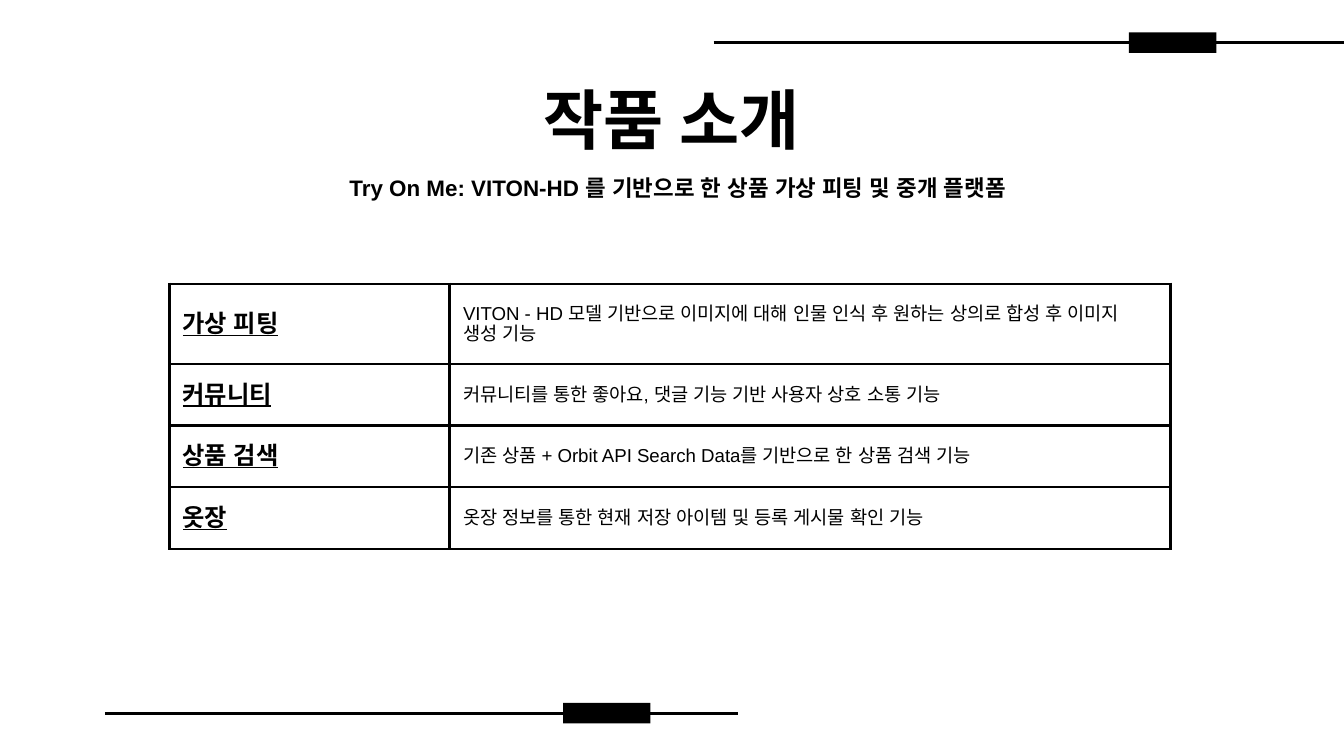
from lxml import etree
from pptx import Presentation, util as u
from pptx.dml.color import RGBColor
from pptx.enum import shapes, text
from pptx.oxml.ns import qn

W = u.Inches(10)
H = W * 9 // 16
BLACK = "000000"
INSET = u.Inches(0.1)
HEADING = dict(name="Lato", size=u.Pt(35), bold=True)
SUBTITLE = dict(name="Arial", size=u.Pt(12), bold=True)
LABEL = dict(name="Arial", size=u.Pt(13), bold=True, underline=True)
DETAIL = dict(name="Arial", size=u.Pt(10), bold=False, underline=False)
FEATURES = [
    ("가상 피팅", "VITON - HD 모델 기반으로 이미지에 대해 인물 인식 후 원하는 상의로 합성 후 이미지 생성 기능"),
    ("커뮤니티", "커뮤니티를 통한 좋아요, 댓글 기능 기반 사용자 상호 소통 기능"),
    ("상품 검색", "기존 상품 + Orbit API Search Data를 기반으로 한 상품 검색 기능"),
    ("옷장", "옷장 정보를 통한 현재 저장 아이템 및 등록 게시물 확인 기능"),
]


def color(value):
    """Turn a hex string into a colour."""
    return RGBColor.from_string(value)


def area(x, y, w, h):
    """Turn percentages of the slide into a box of lengths."""
    return [int(size * share / 100) for size, share in zip((W, H, W, H), (x, y, w, h))]


def write(p, words, style):
    """Add one formatted run, with one typeface for every script, to a paragraph."""
    r = p.add_run()
    r.text = words
    for key, value in style.items():
        setattr(r.font, key, value)
    r.font.color.rgb = color(BLACK)
    for script in ("ea", "cs"):
        etree.SubElement(r._r.get_or_add_rPr(), qn(f"a:{script}"), typeface=style["name"])


def add_rule(s, box, block_left):
    """Draw a horizontal rule through the middle of a box, with a solid block on it."""
    x, y, w, h = box
    mid = y + h // 2
    block = s.shapes.add_shape(shapes.MSO_SHAPE.RECTANGLE, int(W * block_left / 100), y, int(W * 0.065), h)
    block.shadow.inherit = False
    block.fill.solid()
    block.fill.fore_color.rgb = color(BLACK)
    block.line.fill.background()
    line = s.shapes.add_connector(shapes.MSO_CONNECTOR.STRAIGHT, x, mid, x + w, mid)
    line.line.color.rgb = color(BLACK)
    line.line.width = u.Pt(1.5)
    etree.SubElement(line._element.spPr, qn("a:effectLst"))


def add_heading(s, box, words, style, right=INSET):
    """Place one centred line of text in a box."""
    tf = s.shapes.add_textbox(*box).text_frame
    tf.word_wrap = True
    margins = dict(left=INSET, top=INSET, right=right, bottom=INSET)
    for side, value in margins.items():
        setattr(tf, f"margin_{side}", value)
    p = tf.paragraphs[0]
    p.alignment = text.PP_ALIGN.CENTER
    write(p, words, style)


def add_borders(cell):
    """Draw a solid border on the four sides of a cell."""
    for side in ("lnL", "lnR", "lnT", "lnB"):
        ln = etree.SubElement(cell._tc.get_or_add_tcPr(), qn(f"a:{side}"), w=str(u.Pt(1.5)))
        fill = etree.SubElement(ln, qn("a:solidFill"))
        etree.SubElement(fill, qn("a:srgbClr"), val=BLACK)


def add_features(s, box, rows):
    """Fill a box with a two-column table of feature names and details."""
    table = s.shapes.add_table(len(rows), 2, *box).table
    table.first_row = table.horz_banding = False
    for column, share in zip(table.columns, (0.28, 0.72)):
        column.width = int(box[2] * share)
    for row, share in zip(table.rows, (0.3, 0.23, 0.23, 0.23)):
        row.height = int(box[3] * share)
    for i, row in enumerate(rows):
        for j, (words, style) in enumerate(zip(row, (LABEL, DETAIL))):
            cell = table.cell(i, j)
            for side in ("left", "top", "right", "bottom"):
                setattr(cell, f"margin_{side}", INSET)
            cell.vertical_anchor = text.MSO_ANCHOR.MIDDLE
            add_borders(cell)
            cell.fill.background()
            p = cell.text_frame.paragraphs[0]
            if j == 1:
                p.space_after = u.Pt(16)
            write(p, words, style)


def main():
    """Build the slide and save it."""
    prs = Presentation()
    prs.slide_width, prs.slide_height = W, H
    s = prs.slides.add_slide(prs.slide_layouts[6])
    add_rule(s, area(7.8, 93, 47.1, 2.7), 41.9)
    add_rule(s, area(53.1, 4.3, 47, 2.7), 84)
    add_heading(s, area(7.8, 8.7, 84.4, 11.2), "작품 소개", HEADING)
    add_features(s, area(12.6, 37.55, 74.5, 35.4), FEATURES)
    add_heading(s, area(7.8, 21.2, 84.3, 6.4), "Try On Me: VITON-HD 를 기반으로 한 상품 가상 피팅 및 중개 플랫폼", SUBTITLE, right=0)
    prs.save("out.pptx")


if __name__ == "__main__":
    main()
